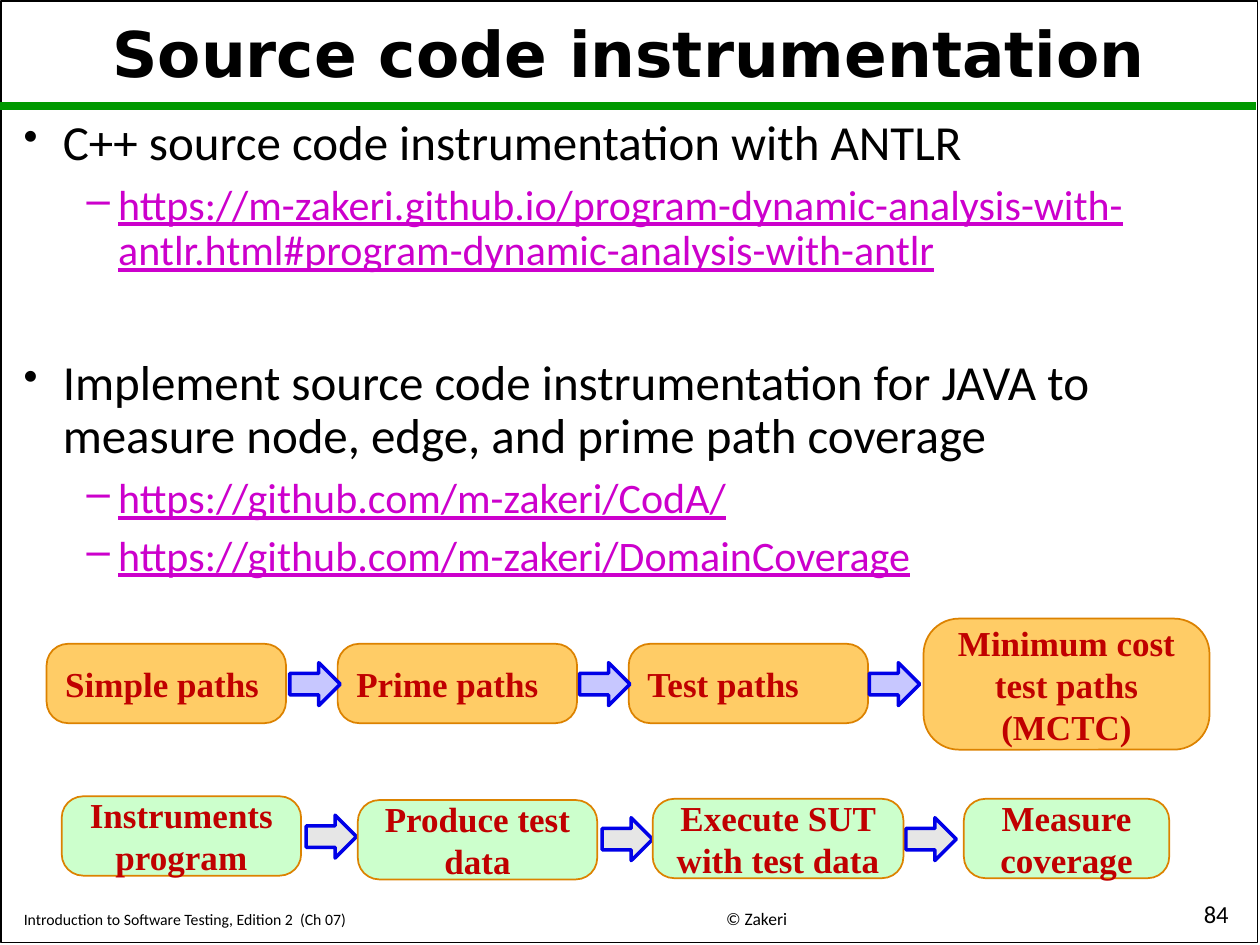
from lxml import etree
from pptx import Presentation
from pptx.dml.color import RGBColor
from pptx.enum.shapes import MSO_CONNECTOR, MSO_SHAPE
from pptx.enum.text import MSO_ANCHOR, PP_ALIGN
from pptx.oxml.ns import qn
from pptx.util import Inches, Pt

LEFT, MID, RIGHT = PP_ALIGN.LEFT, PP_ALIGN.CENTER, PP_ALIGN.RIGHT
TOP, CENTER, BOTTOM = MSO_ANCHOR.TOP, MSO_ANCHOR.MIDDLE, MSO_ANCHOR.BOTTOM
RECT, ROUND = MSO_SHAPE.RECTANGLE, MSO_SHAPE.ROUNDED_RECTANGLE
ARROW, STRAIGHT = MSO_SHAPE.RIGHT_ARROW, MSO_CONNECTOR.STRAIGHT

POINT = dict(size=28, mark="•", scale=85, left=0.31, hang=0.31)
LINK = dict(size=24, mark="–", scale=100, left=0.75, hang=0.25,
            color="CC00CC", line=True, before=7.2)
BODY = [
    ("C++ source code instrumentation with ANTLR", POINT),
    ("https://m-zakeri.github.io/program-dynamic-analysis-with-"
     "antlr.html#program-dynamic-analysis-with-antlr", LINK),
    ("Implement source code instrumentation for JAVA to measure node, edge, "
     "and prime path coverage", {**POINT, "before": 48}),
    ("https://github.com/m-zakeri/CodA/", LINK),
    ("https://github.com/m-zakeri/DomainCoverage", LINK),
]
PATHS = [
    ("Simple paths", (0.37, 5.11, 1.9, 0.63), LEFT),
    ("Prime paths", (2.68, 5.11, 1.9, 0.63), LEFT),
    ("Test paths", (4.99, 5.11, 1.9, 0.63), LEFT),
    ("Minimum cost test paths (MCTC)", (7.33, 4.91, 2.27, 1.04), MID),
]
STEPS = [
    ("Instruments program", (0.49, 6.32, 1.9, 0.63), MID),
    ("Produce test data", (2.84, 6.35, 1.9, 0.63), MID),
    ("Execute SUT with test data", (5.18, 6.34, 1.99, 0.63), MID),
    ("Measure coverage", (7.65, 6.34, 1.63, 0.63), MID),
]
PATH_ARROWS = [(2.3, 5.26), (4.6, 5.26), (6.9, 5.26)]
STEP_ARROWS = [(2.43, 6.47), (4.78, 6.49), (7.19, 6.49)]


def paint(code):
    return RGBColor.from_string(code)


def write(para, text, size=20, face="Calibri", color="000000", bold=False,
          line=False, align=LEFT, space=1.0, before=0, mark=None, scale=100,
          left=0, hang=0):
    if mark:
        props = para._p.get_or_add_pPr()
        props.set("marL", str(Inches(left)))
        props.set("indent", str(-Inches(hang)))
        etree.SubElement(props, qn("a:buSzPct"), val=str(scale * 1000))
        etree.SubElement(props, qn("a:buChar"), char=mark)
    para.alignment, para.line_spacing = align, space
    if before:
        para.space_before = Pt(before)
    run = para.add_run()
    run.text = text
    font = run.font
    font.size, font.name, font.bold, font.underline = Pt(size), face, bold, line
    font.color.rgb = paint(color)


class Deck:
    """Holds the style and the current slide, and draws each kind of element."""

    edge, ink, serif = "DC8200", "C00000", "Times New Roman"
    blue, green = "0000E7", "009900"

    def __init__(self, slide):
        self.shapes = slide.shapes

    def shape(self, kind, box, fill, line, width):
        shape = self.shapes.add_shape(kind, *map(Inches, box))
        shape.shadow.inherit = False
        if fill:
            shape.fill.solid()
            shape.fill.fore_color.rgb = paint(fill)
        else:
            shape.fill.background()
        shape.line.color.rgb = paint(line)
        shape.line.width = Pt(width)
        return shape

    def rule(self, x, y, end):
        line = self.shapes.add_connector(
            STRAIGHT, Inches(x), Inches(y), Inches(end), Inches(y))
        line.line.color.rgb = paint(self.green)
        line.line.width = Pt(4.5)
        etree.SubElement(line._element.spPr, qn("a:effectLst"))

    def text(self, box, items, anchor=TOP):
        frame = self.shapes.add_textbox(*map(Inches, box)).text_frame
        frame.word_wrap, frame.vertical_anchor = True, anchor
        for i, (words, style) in enumerate(items):
            para = frame.add_paragraph() if i else frame.paragraphs[0]
            write(para, words, **style)

    def step(self, words, box, align, fill):
        shape = self.shape(ROUND, box, fill, self.edge, 1)
        shape.adjustments[0] = 0.27
        frame = shape.text_frame
        frame.word_wrap, frame.vertical_anchor = True, CENTER
        write(frame.paragraphs[0], words, face=self.serif, color=self.ink,
              bold=True, align=align)

    def arrow(self, x, y, fill):
        self.shape(ARROW, (x, y, 0.4, 0.34), fill, self.blue, 2)

    def flow(self, steps, fill):
        for words, box, align in steps:
            self.step(words, box, align, fill)

    def arrows(self, spots, fill):
        for x, y in spots:
            self.arrow(x, y, fill)


def main():
    show = Presentation()
    show.slide_width, show.slide_height = Inches(10), Inches(7.5)
    deck = Deck(show.slides.add_slide(show.slide_layouts[6]))

    deck.shape(RECT, (0.01, 0.01, 9.97, 7.47), None, "000000", 1)
    deck.rule(0, 0.84, 9.97)
    title = dict(size=36, face="DejaVu Sans", bold=True, align=MID, space=0.9)
    deck.text((0.09, 0.11, 9.8, 0.69),
              [("Source code instrumentation", title)], CENTER)
    deck.text((0.09, 0.89, 9.76, 6.19),
              [(words, {**style, "space": 0.9}) for words, style in BODY])

    feet = [
        ("Introduction to Software Testing, Edition 2  (Ch 07)",
         (0.09, 7.12, 4.12, 0.3), 9, LEFT),
        ("© Zakeri", (4.42, 7.11, 3.17, 0.31), 10, MID),
        ("84", (7.89, 7.1, 1.96, 0.32), 14, RIGHT),
    ]
    for words, box, size, align in feet:
        deck.text(box, [(words, dict(size=size, align=align))], BOTTOM)

    deck.flow(PATHS, "FFCC66")
    deck.arrows(PATH_ARROWS, "C7C7FF")
    deck.arrows(STEP_ARROWS, "E6E6E6")
    deck.flow(STEPS, "CCFFCC")
    show.save("out.pptx")


if __name__ == "__main__":
    main()
